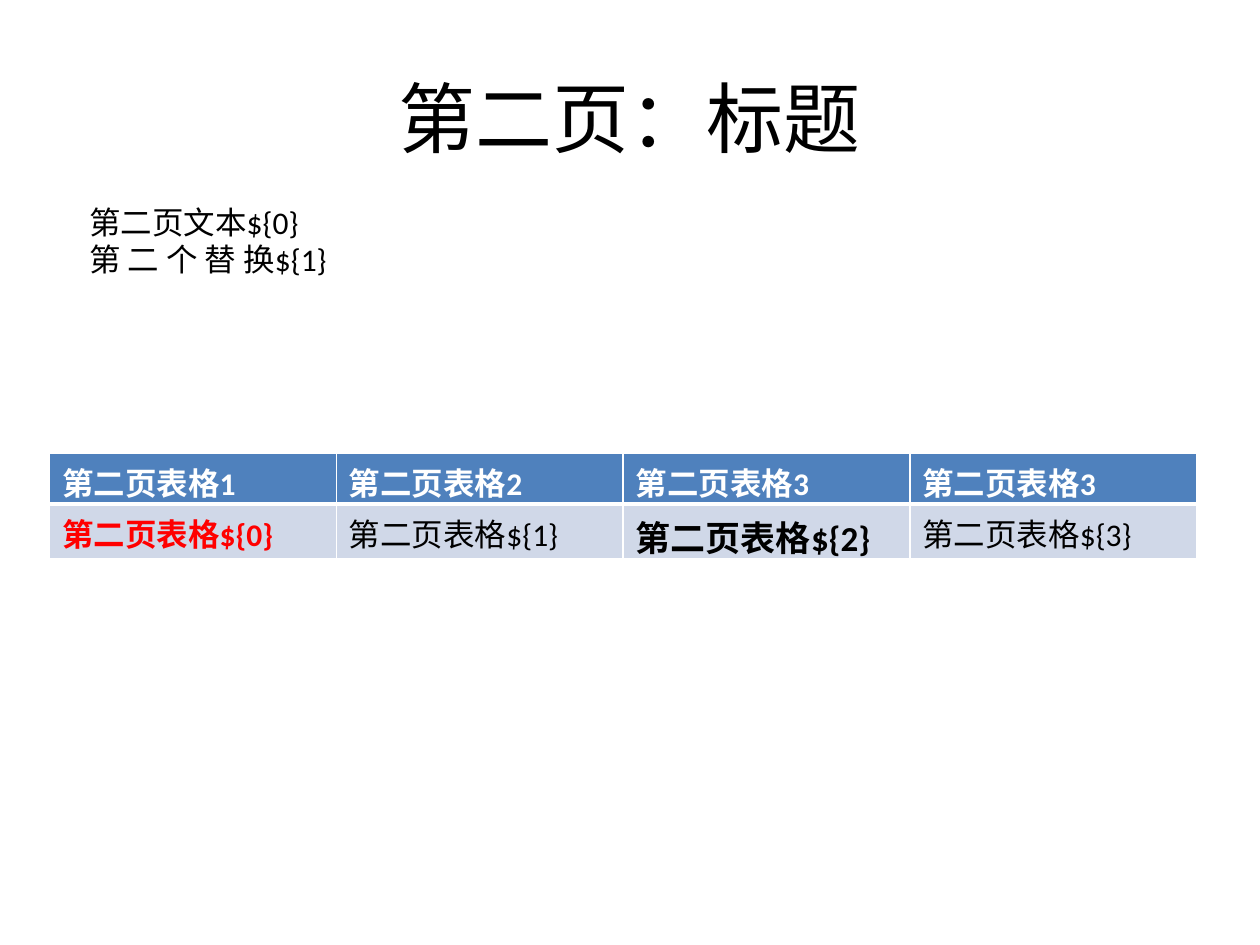
"""Build a slide with a title, two lines of text and a four-column table."""
from dataclasses import dataclass

from lxml.etree import SubElement
from pptx import Presentation
from pptx.dml.color import RGBColor
from pptx.enum.text import MSO_ANCHOR, PP_ALIGN
from pptx.oxml.ns import qn
from pptx.util import Cm, Pt

COLORS = {
    "black": "000000",
    "white": "FFFFFF",
    "red": "FF0000",
    "header": "4F81BD",
    "body": "D0D8E8",
}
COLUMN_WIDTH = 5.78
ROW_HEIGHT = 1.03


@dataclass
class TableCell:
    text: str
    fill: str = "body"
    color: str = "black"
    size: int = 18
    bold: bool = False


def write_text(text_frame, text: str, *, size: int = 18, color: str = "black",
               bold: bool = False, align=PP_ALIGN.LEFT) -> None:
    text_frame.text = text
    for paragraph in text_frame.paragraphs:
        paragraph.alignment = align
        for run in paragraph.runs:
            run.font.name = "Calibri"
            run.font.size = Pt(size)
            run.font.bold = bold
            run.font.color.rgb = RGBColor.from_string(COLORS[color])


def add_text_frame(slide, left: float, top: float, width: float, height: float):
    shape = slide.shapes.add_textbox(Cm(left), Cm(top), Cm(width), Cm(height))
    shape.text_frame.word_wrap = True
    return shape.text_frame


def set_borders(cell, widths: dict[str, int]) -> None:
    properties = cell._tc.get_or_add_tcPr()
    for side, width in widths.items():
        line = SubElement(properties, qn(f"a:ln{side}"), w=str(Pt(width)))
        fill = SubElement(line, qn("a:solidFill"))
        SubElement(fill, qn("a:srgbClr"), val=COLORS["white"])


def add_table(slide, rows: list[list[TableCell]], left: float, top: float) -> None:
    column_count = len(rows[0])
    table = slide.shapes.add_table(
        len(rows), column_count, Cm(left), Cm(top),
        Cm(COLUMN_WIDTH * column_count), Cm(ROW_HEIGHT * len(rows))).table
    for column in table.columns:
        column.width = Cm(COLUMN_WIDTH)
    for row_index, row in enumerate(rows):
        table.rows[row_index].height = Cm(ROW_HEIGHT)
        top_width, bottom_width = (1, 3) if row_index == 0 else (3, 1)
        for column_index, content in enumerate(row):
            cell = table.cell(row_index, column_index)
            set_borders(cell, {"L": 1, "R": 1, "T": top_width, "B": bottom_width})
            cell.fill.solid()
            cell.fill.fore_color.rgb = RGBColor.from_string(COLORS[content.fill])
            write_text(cell.text_frame, content.text, size=content.size,
                       color=content.color, bold=content.bold)


def main() -> None:
    presentation = Presentation()
    presentation.slide_width, presentation.slide_height = Cm(25.4), Cm(19.05)
    slide = presentation.slides.add_slide(presentation.slide_layouts[6])

    title = add_text_frame(slide, 1.27, 0.76, 22.86, 3.18)
    title.vertical_anchor = MSO_ANCHOR.MIDDLE
    write_text(title, "第二页：标题", size=44, align=PP_ALIGN.CENTER)

    header = [TableCell(f"第二页表格{number}", "header", "white", bold=True)
              for number in (1, 2, 3, 3)]
    body = [
        TableCell("第二页表格${0}", color="red", bold=True),
        TableCell("第二页表格${1}"),
        TableCell("第二页表格${2}", size=20, bold=True),
        TableCell("第二页表格${3}"),
    ]
    add_table(slide, [header, body], 1, 9.13)

    replacements = add_text_frame(slide, -0.58, 3.96, 17.48, 1.8)
    replacements.margin_left = Cm(2.38)
    write_text(replacements, "第二页文本${0}\n第 二 个 替 换${1}")

    presentation.save("out.pptx")


main()
